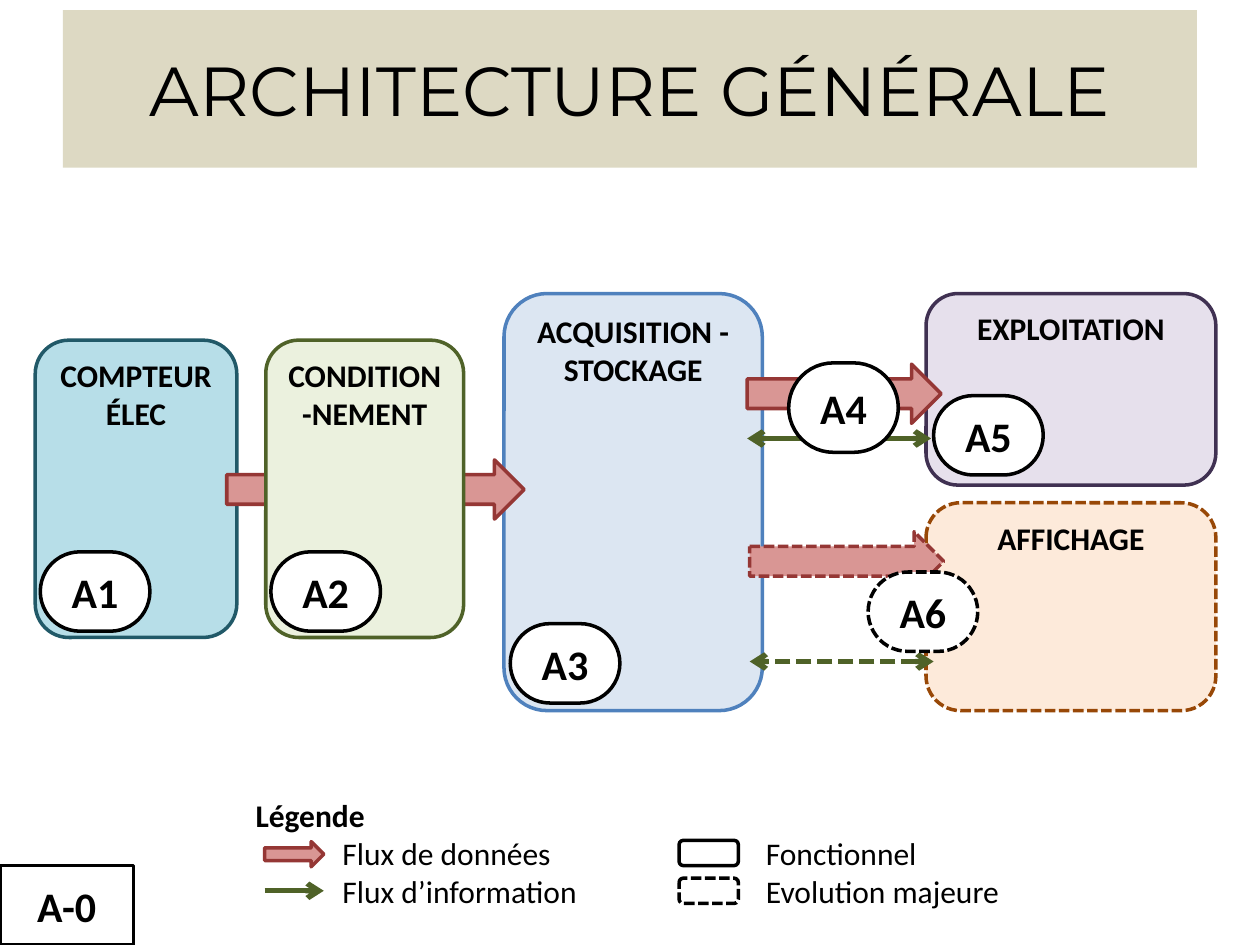
"""Build the general architecture slide with its functional blocks and data flows."""
from dataclasses import dataclass
from typing import Optional

from pptx import Presentation
from pptx.dml.color import RGBColor
from pptx.enum.dml import MSO_LINE
from pptx.enum.shapes import MSO_CONNECTOR, MSO_SHAPE as Form
from pptx.enum.text import MSO_ANCHOR as Anchor, PP_ALIGN as Align
from pptx.oxml.ns import qn
from pptx.util import Inches, Pt
from lxml.etree import SubElement


@dataclass(frozen=True)
class Theme:
    ink: str = "000000"
    paper: str = "FFFFFF"
    banner: str = "DDD9C3"
    data_fill: str = "D99694"
    data_edge: str = "953735"
    info: str = "4F6228"
    body_font: str = "Calibri"
    title_font: str = "Montserrat"
    title_size: float = 39.6
    badge_size: float = 24
    label_size: float = 18
    outline: float = 2
    info_width: float = 3


@dataclass(frozen=True)
class Box:
    left: float
    top: float
    width: float
    height: float


@dataclass(frozen=True)
class Block:
    label: str
    box: Box
    fill: str
    edge: str
    dashed: bool = False


@dataclass(frozen=True)
class Badge:
    label: str
    left: float
    top: float
    height: float = 0.63
    dashed: bool = False


@dataclass(frozen=True)
class DataFlow:
    box: Box
    dashed: bool = False


@dataclass(frozen=True)
class InfoFlow:
    start: float
    end: float
    y: float
    dashed: bool = False
    two_way: bool = True


THEME = Theme()
TITLE_TEXT = dict(name=THEME.title_font, size=Pt(THEME.title_size), bold=False)
BADGE_TEXT = dict(name=THEME.body_font, size=Pt(THEME.badge_size), bold=True)
LABEL_TEXT = dict(name=THEME.body_font, size=Pt(THEME.label_size), bold=True)
ENTRY_TEXT = {**LABEL_TEXT, "bold": False}
BADGE_WIDTH = 0.87
FLOW_HEIGHT = 0.47
KEY_WIDTH, KEY_HEIGHT = 0.47, 0.2
KEY_INDENT = 0.69

DIAGRAM = [
    Block("COMPTEUR ÉLEC", Box(0.28, 2.7, 1.6, 2.36), "B7DEE8", "215968"),
    Block("ACQUISITION - STOCKAGE", Box(4, 2.33, 2.05, 3.31), "DCE6F2", "4F81BD"),
    DataFlow(Box(1.8, 3.65, 2.36, FLOW_HEIGHT)),
    Block("CONDITION-NEMENT", Box(2.11, 2.7, 1.57, 2.36), "EBF1DE", "4F6228"),
    Badge("A3", 4.05, 4.95),
    Badge("A2", 2.15, 4.38),
    Badge("A1", 0.32, 4.38),
    Block("EXPLOITATION", Box(7.35, 2.33, 2.3, 1.52), "E6E0EC", "403152"),
    DataFlow(Box(5.93, 2.89, 1.54, FLOW_HEIGHT)),
    InfoFlow(7.39, 5.93, 3.48),
    Badge("A4", 6.26, 2.88, height=0.71),
    Badge("A5", 7.41, 3.14),
    Block("AFFICHAGE", Box(7.35, 3.99, 2.3, 1.65), "FDEADA", "984807", dashed=True),
    DataFlow(Box(5.95, 4.22, 1.54, FLOW_HEIGHT), dashed=True),
    InfoFlow(7.41, 5.95, 5.25, dashed=True),
    Badge("A6", 6.89, 4.54, dashed=True),
]


def apply(target, values: dict) -> None:
    """Set each named format value on the target."""
    for name, value in values.items():
        setattr(target, name, value)


def place(box: Box) -> tuple:
    """Return the box as slide lengths."""
    return tuple(Inches(n) for n in (box.left, box.top, box.width, box.height))


def style_line(line, color: str, width: float, dashed: bool) -> None:
    """Give a line its colour, width and dash."""
    line.color.rgb = RGBColor.from_string(color)
    line.width = Pt(width)
    if dashed:
        line.dash_style = MSO_LINE.SQUARE_DOT


def write(paragraph, text: str, font: dict, align=Align.CENTER) -> None:
    """Write one formatted paragraph."""
    paragraph.text = text
    paragraph.alignment = align
    apply(paragraph.font, font)
    paragraph.font.color.rgb = RGBColor.from_string(THEME.ink)


def draw_form(slide, form, box: Box, fill: Optional[str], edge: Optional[str],
              dashed: bool = False, text: str = "", font: Optional[dict] = None,
              anchor=Anchor.MIDDLE):
    """Draw a preset shape with optional fill, outline and text."""
    shape = slide.shapes.add_shape(form, *place(box))
    shape.shadow.inherit = False
    if fill:
        shape.fill.solid()
        shape.fill.fore_color.rgb = RGBColor.from_string(fill)
    else:
        shape.fill.background()
    if edge:
        style_line(shape.line, edge, THEME.outline, dashed)
    else:
        shape.line.fill.background()
    if text:
        apply(shape.text_frame, dict(word_wrap=True, vertical_anchor=anchor))
        write(shape.text_frame.paragraphs[0], text, font)
    return shape


def draw_block(slide, block: Block) -> None:
    """Draw a functional block titled at its top."""
    draw_form(slide, Form.ROUNDED_RECTANGLE, block.box, block.fill, block.edge,
              block.dashed, block.label, LABEL_TEXT, Anchor.TOP)


def draw_badge(slide, badge: Badge) -> None:
    """Draw a rounded function number."""
    box = Box(badge.left, badge.top, BADGE_WIDTH, badge.height)
    shape = draw_form(slide, Form.ROUNDED_RECTANGLE, box, THEME.paper, THEME.ink,
                      badge.dashed, badge.label, BADGE_TEXT)
    shape.adjustments[0] = 0.5


def draw_data_flow(slide, flow: DataFlow) -> None:
    """Draw a block arrow for data."""
    draw_form(slide, Form.RIGHT_ARROW, flow.box, THEME.data_fill, THEME.data_edge, flow.dashed)


def draw_info_flow(slide, flow: InfoFlow) -> None:
    """Draw a line arrow for information."""
    y = Inches(flow.y)
    arrow = slide.shapes.add_connector(
        MSO_CONNECTOR.STRAIGHT, Inches(flow.start), y, Inches(flow.end), y)
    style_line(arrow.line, THEME.info, THEME.info_width, flow.dashed)
    properties = arrow.line._get_or_add_ln()
    for end in ("a:headEnd", "a:tailEnd") if flow.two_way else ("a:tailEnd",):
        SubElement(properties, qn(end), type="arrow")
    SubElement(arrow._element.spPr, qn("a:effectLst"))


def draw_legend_column(slide, box: Box, entries: list, heading: str = "") -> None:
    """Write indented legend entries under an optional heading."""
    frame = slide.shapes.add_textbox(*place(box)).text_frame
    frame.word_wrap = True
    for index, text in enumerate(([heading] if heading else []) + entries):
        paragraph = frame.add_paragraph() if index else frame.paragraphs[0]
        if text != heading:
            paragraph._p.get_or_add_pPr().set("marL", str(Inches(KEY_INDENT)))
        write(paragraph, text, LABEL_TEXT if text == heading else ENTRY_TEXT, Align.LEFT)


def draw_legend(slide) -> None:
    """Draw the legend texts and their keys."""
    draw_legend_column(slide, Box(1.93, 6.27, 3.36, 1.01),
                       ["Flux de données", "Flux d’information"], "Légende")
    draw_legend_column(slide, Box(5.29, 6.57, 3.36, 0.71), ["Fonctionnel", "Evolution majeure"])
    draw_data_flow(slide, DataFlow(Box(2.1, 6.68, KEY_WIDTH, KEY_HEIGHT)))
    draw_info_flow(slide, InfoFlow(2.1, 2.1 + KEY_WIDTH, 7.07, two_way=False))
    for top, dashed in ((6.67, False), (6.97, True)):
        draw_form(slide, Form.ROUNDED_RECTANGLE, Box(5.39, top, KEY_WIDTH, KEY_HEIGHT),
                  None, THEME.ink, dashed)


def main() -> None:
    """Assemble and save the slide."""
    deck = Presentation()
    apply(deck, dict(slide_width=Inches(10), slide_height=Inches(7.5)))
    slide = deck.slides.add_slide(deck.slide_layouts[6])
    draw_form(slide, Form.RECTANGLE, Box(0.5, 0.08, 9, 1.25), THEME.banner, None,
              text="ARCHITECTURE GÉNÉRALE", font=TITLE_TEXT)
    draw_form(slide, Form.RECTANGLE, Box(0, 6.87, 1.06, 0.63), None, THEME.ink,
              text="A-0", font=BADGE_TEXT)
    draw_legend(slide)
    painters = {Block: draw_block, Badge: draw_badge,
                DataFlow: draw_data_flow, InfoFlow: draw_info_flow}
    for part in DIAGRAM:
        painters[type(part)](slide, part)
    deck.save("out.pptx")


if __name__ == "__main__":
    main()
